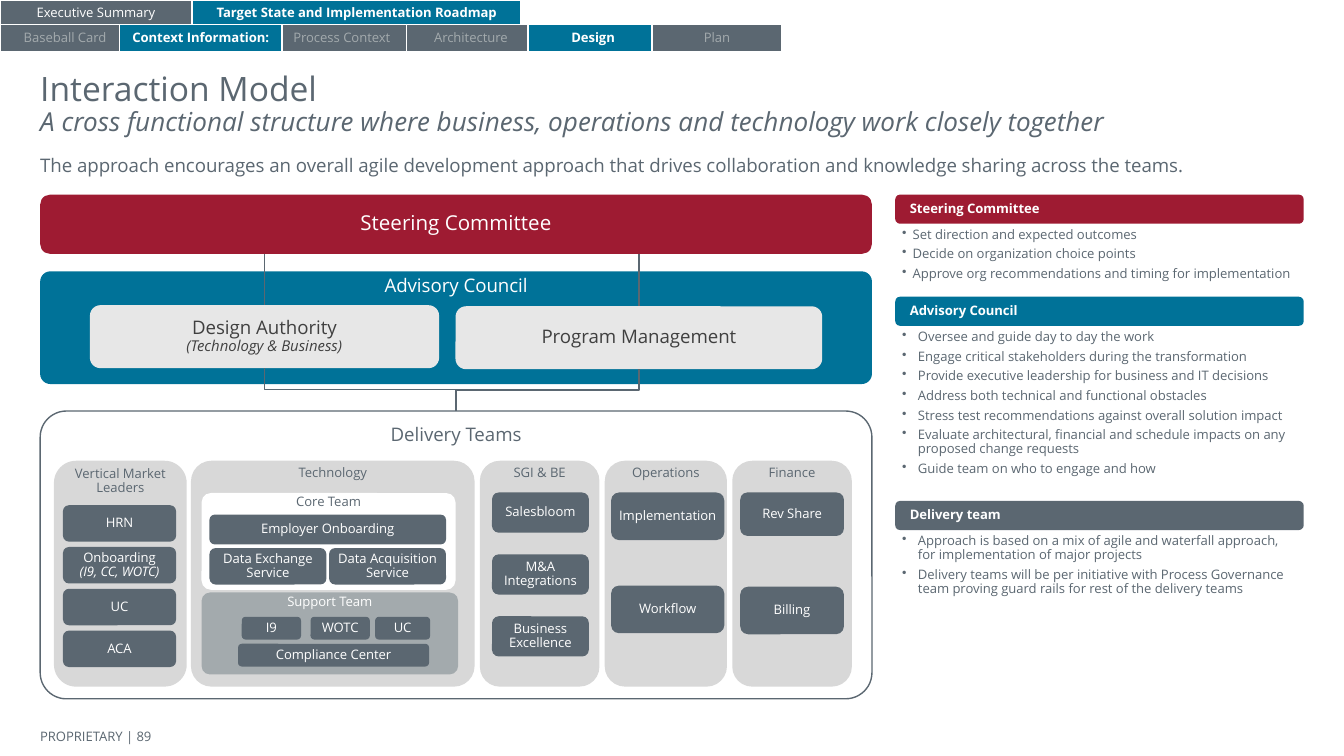
"""Build the Interaction Model slide."""
from dataclasses import dataclass

from lxml import etree
from pptx import Presentation
from pptx import util as u
from pptx.dml.color import RGBColor
from pptx.enum import shapes, text
from pptx.oxml.ns import qn
from pptx.shapes.autoshape import Shape
from pptx.shapes.connector import Connector
from pptx.slide import Slide
from pptx.text.text import TextFrame

FONT = "Open Sans"
COLORS = {
    "slate": "5B6771", "teal": "007298", "red": "9E1B32", "white": "FFFFFF",
    "pale": "E7E7E7", "column": "D8D8D8", "support": "A3AAAD", "dark": "404040",
}
Place = tuple[float, float, float, float]


@dataclass(frozen=True)
class Line:
    text: str
    size: float = 7
    italic: bool = False
    bold: bool = False


@dataclass(frozen=True)
class Block:
    place: Place
    lines: tuple[Line, ...]
    fill: str = "slate"
    ink: str = "white"
    adj: float | None = 0.167
    outline: str | None = None
    middle: bool = True
    centred: bool = True
    inset: tuple[float, float] = (0, 0)


@dataclass(frozen=True)
class Stack:
    place: Place
    pitch: float
    labels: tuple[tuple[Line, ...], ...]


@dataclass(frozen=True)
class Panel:
    title: str
    fill: str
    top: float
    height: float
    indent: tuple[float, float]
    points: tuple[str, ...]


def color(name: str) -> RGBColor:
    return RGBColor.from_string(COLORS[name])


def write(frame: TextFrame, lines: tuple[Line, ...], ink: str, centred: bool = False,
          middle: bool = False, inset: tuple[float, float] = (0, 0)) -> None:
    side, top = (u.Cm(value) for value in inset)
    frame.word_wrap = True
    frame.auto_size = text.MSO_AUTO_SIZE.NONE
    frame.vertical_anchor = text.MSO_ANCHOR.MIDDLE if middle else text.MSO_ANCHOR.TOP
    frame.margin_left = frame.margin_right = side
    frame.margin_top = frame.margin_bottom = top
    for index, line in enumerate(lines):
        paragraph = frame.add_paragraph() if index else frame.paragraphs[0]
        paragraph.alignment = text.PP_ALIGN.CENTER if centred else text.PP_ALIGN.LEFT
        paragraph.line_spacing = 0.9
        paragraph.space_before = u.Pt(0)
        run = paragraph.add_run()
        run.text = line.text
        run.font.name, run.font.size = FONT, u.Pt(line.size)
        run.font.bold, run.font.italic = line.bold, line.italic
        run.font.color.rgb = color(ink)


def draw_block(slide: Slide, block: Block) -> Shape:
    kind = shapes.MSO_SHAPE.RECTANGLE if block.adj is None else shapes.MSO_SHAPE.ROUNDED_RECTANGLE
    shape = slide.shapes.add_shape(kind, *map(u.Cm, block.place))
    if block.adj is not None:
        shape.adjustments[0] = block.adj
    shape.shadow.inherit = False
    shape.fill.solid()
    shape.fill.fore_color.rgb = color(block.fill)
    if block.outline:
        shape.line.color.rgb = color(block.outline)
        shape.line.width = u.Pt(0.75)
    else:
        shape.line.fill.background()
    write(shape.text_frame, block.lines, block.ink, block.centred, block.middle, block.inset)
    return shape


def draw_text(slide: Slide, place: Place, lines: tuple[Line, ...], middle: bool = False,
              inset: tuple[float, float] = (0, 0)) -> TextFrame:
    frame = slide.shapes.add_textbox(*map(u.Cm, place)).text_frame
    write(frame, lines, "slate", middle=middle, inset=inset)
    return frame


def draw_stack(slide: Slide, stack: Stack) -> None:
    left, top, width, height = stack.place
    for row, lines in enumerate(stack.labels):
        draw_block(slide, Block((left, top + row * stack.pitch, width, height), lines))


def draw_panel(slide: Slide, panel: Panel) -> None:
    left, width, header = 16.92, 7.72, 0.55
    draw_block(slide, Block((left, panel.top, width, header), (Line(panel.title, bold=True),),
                            panel.fill, centred=False, inset=(0.25, 0)))
    frame = draw_text(slide, (left, panel.top + header, width, panel.height),
                      tuple(map(Line, panel.points)), inset=(0.13, 0.08))
    for index, paragraph in enumerate(frame.paragraphs):
        paragraph.space_before = u.Pt(3 if index else 0)
        properties = paragraph._p.get_or_add_pPr()
        for key, value in zip(("marL", "indent"), panel.indent):
            properties.set(key, str(u.Cm(value)))
        tint = etree.SubElement(properties, qn("a:buClr"))
        etree.SubElement(tint, qn("a:srgbClr")).set("val", COLORS["slate"])
        etree.SubElement(properties, qn("a:buChar")).set("char", "•")


def add_line(slide: Slide, kind: shapes.MSO_CONNECTOR, x: int, y: int) -> Connector:
    connector = slide.shapes.add_connector(kind, x, y, x, y)
    connector.line.color.rgb = color("slate")
    connector.line.width = u.Pt(0.75)
    etree.SubElement(connector._element.spPr, qn("a:effectLst"))
    return connector


def draw_elbow(slide: Slide, start: Shape, start_site: int, end: Shape, end_site: int) -> None:
    elbow = add_line(slide, shapes.MSO_CONNECTOR.ELBOW, 0, 0)
    elbow.begin_connect(start, start_site)
    elbow.end_connect(end, end_site)
    downward = elbow.begin_y < elbow.end_y
    across, down = elbow.width, elbow.height
    elbow.left += (across - down) // 2
    elbow.top += (down - across) // 2
    elbow.width, elbow.height = down, across
    frame = elbow._element.spPr.find(qn("a:xfrm"))
    for key, value in (("rot", "16200000"), ("flipH", str(int(downward))), ("flipV", "0")):
        frame.set(key, value)


def labels(*names: str) -> tuple[tuple[Line, ...], ...]:
    return tuple((Line(name),) for name in names)


COLUMNS = (
    ("SGI & BE", 9.07, 2.26, 0.167), ("Operations", 11.43, 2.31, 0.167),
    ("Finance", 13.84, 2.26, 0.167), ("Technology", 3.61, 5.36, 0.091),
    ("Vertical Market Leaders", 1.02, 2.51, 0.167),
)
GROUPS = (
    Block((3.81, 9.32, 4.8, 1.83), (Line("Core Team"),), "white", "slate", 0.097, middle=False),
    Block((3.81, 11.2, 4.85, 1.55), (Line("Support Team"),), "support", adj=0.104, middle=False),
)
STACKS = (
    Stack((1.19, 9.55, 2.14, 0.69), 0.79, (
        (Line("HRN"),), (Line("Onboarding"), Line("(I9, CC, WOTC)", italic=True)),
        (Line("UC"),), (Line("ACA"),))),
    Stack((9.3, 9.31, 1.83, 0.76), 1.17, labels("Salesbloom", "M&A Integrations", "Business Excellence")),
    Stack((11.55, 9.31, 2.14, 0.9), 1.76, labels("Implementation", "Workflow")),
    Stack((13.99, 9.31, 1.96, 0.82), 0, labels("Rev Share")),
    Stack((13.99, 11.09, 1.96, 0.9), 0, labels("Billing")),
    Stack((3.96, 9.73, 4.47, 0.56), 0, labels("Employer Onboarding")),
    Stack((3.96, 10.36, 2.21, 0.69), 0, ((Line("Data Exchange"), Line("Service")),)),
    Stack((6.22, 10.36, 2.21, 0.69), 0, ((Line("Data Acquisition"), Line("Service")),)),
    Stack((4.57, 11.66, 1.12, 0.43), 0, labels("I9")),
    Stack((5.87, 11.66, 1.12, 0.43), 0, labels("WOTC")),
    Stack((7.09, 11.66, 1.04, 0.43), 0, labels("UC")),
    Stack((4.5, 12.17, 3.61, 0.43), 0, labels("Compliance Center")),
)
PANELS = (
    Panel("Steering Committee", "red", 3.68, 1.27, (0.2, -0.23), (
        "Set direction and expected outcomes", "Decide on organization choice points",
        "Approve org recommendations and timing for implementation")),
    Panel("Advisory Council", "teal", 5.61, 3.2, (0.3, -0.33), (
        "Oversee and guide day to day the work",
        "Engage critical stakeholders during the transformation",
        "Provide executive leadership for business and IT decisions",
        "Address both technical and functional obstacles",
        "Stress test recommendations against overall solution impact",
        "Evaluate architectural, financial and schedule impacts on any proposed change requests",
        "Guide team on who to engage and how")),
    Panel("Delivery team", "slate", 9.47, 1.45, (0.3, -0.33), (
        "Approach is based on a mix of agile and waterfall approach, for implementation of major projects",
        "Delivery teams will be per initiative with Process Governance team proving guard rails "
        "for rest of the delivery teams")),
)
TABS = (
    ("Target State and Implementation Roadmap", 3.63, 0, 6.22, "teal", "white"),
    ("Executive Summary", 0, 0, 3.63, "slate", "white"),
    ("Architecture", 7.67, 0.46, 2.46, "slate", "support"),
    ("Baseball Card", 0, 0.46, 2.46, "slate", "support"),
    ("Design", 9.98, 0.46, 2.46, "teal", "white"),
    ("Plan", 12.32, 0.46, 2.46, "slate", "support"),
    ("Process Context", 5.23, 0.46, 2.46, "slate", "support"),
    ("Context Information:", 2.26, 0.46, 3.07, "teal", "white"),
)


def main() -> None:
    deck = Presentation()
    deck.slide_width, deck.slide_height = u.Cm(25.4), u.Cm(14.29)
    slide = deck.slides.add_slide(deck.slide_layouts[5])
    heading = slide.shapes.title
    heading.left, heading.top, heading.width, heading.height = map(u.Cm, (0.76, 1.37, 23.88, 1.37))
    write(heading.text_frame, (Line("Interaction Model", 18), Line(
        "A cross functional structure where business, operations and technology work closely together",
        14, italic=True)), "slate")
    draw_text(slide, (0.76, 2.95, 23.88, 0.43), (Line(
        "The approach encourages an overall agile development approach that drives collaboration "
        "and knowledge sharing across the teams.", 10),))
    draw_text(slide, (0.76, 13.69, 3.51, 0.48), (Line("PROPRIETARY | 89"),), middle=True)

    draw_block(slide, Block((0.76, 5.13, 15.72, 2.13), (Line("Advisory Council", 10),), "teal",
                            adj=0.091, middle=False, inset=(0.25, 0.03)))
    delivery = draw_block(slide, Block((0.76, 7.77, 15.72, 5.44), (Line("Delivery Teams", 10),), "white",
                                       "slate", 0.091, "slate", middle=False, inset=(0.25, 0.13)))
    steering = draw_block(slide, Block((0.76, 3.68, 15.72, 1.12), (Line("Steering Committee", 11),), "red"))
    program = draw_block(slide, Block((8.61, 5.79, 6.93, 1.19), (Line("Program Management", 10),),
                                      "pale", "dark"))
    authority = draw_block(slide, Block((1.7, 5.77, 6.6, 1.19), (
        Line("Design Authority", 10), Line("(Technology & Business)", 8, italic=True)), "pale", "dark"))
    draw_elbow(slide, authority, 2, delivery, 0)
    draw_elbow(slide, delivery, 0, program, 2)

    for name, left, width, adj in COLUMNS:
        draw_block(slide, Block((left, 8.71, width, 4.27), (Line(name),), "column", "slate", adj, middle=False))
    for group in GROUPS:
        draw_block(slide, group)
    for stack in STACKS:
        draw_stack(slide, stack)
    for panel in PANELS:
        draw_panel(slide, panel)
    for name, left, top, width, fill, ink in TABS:
        draw_block(slide, Block((left, top, width, 0.51), (Line(name, bold=fill == "teal"),), fill, ink,
                                None, "white", inset=(0.13, 0)))
    for council_part in (authority, program):
        drop = add_line(slide, shapes.MSO_CONNECTOR.STRAIGHT, council_part.left + council_part.width // 2,
                        steering.top + steering.height)
        drop.end_connect(council_part, 0)
    deck.save("out.pptx")


if __name__ == "__main__":
    main()
